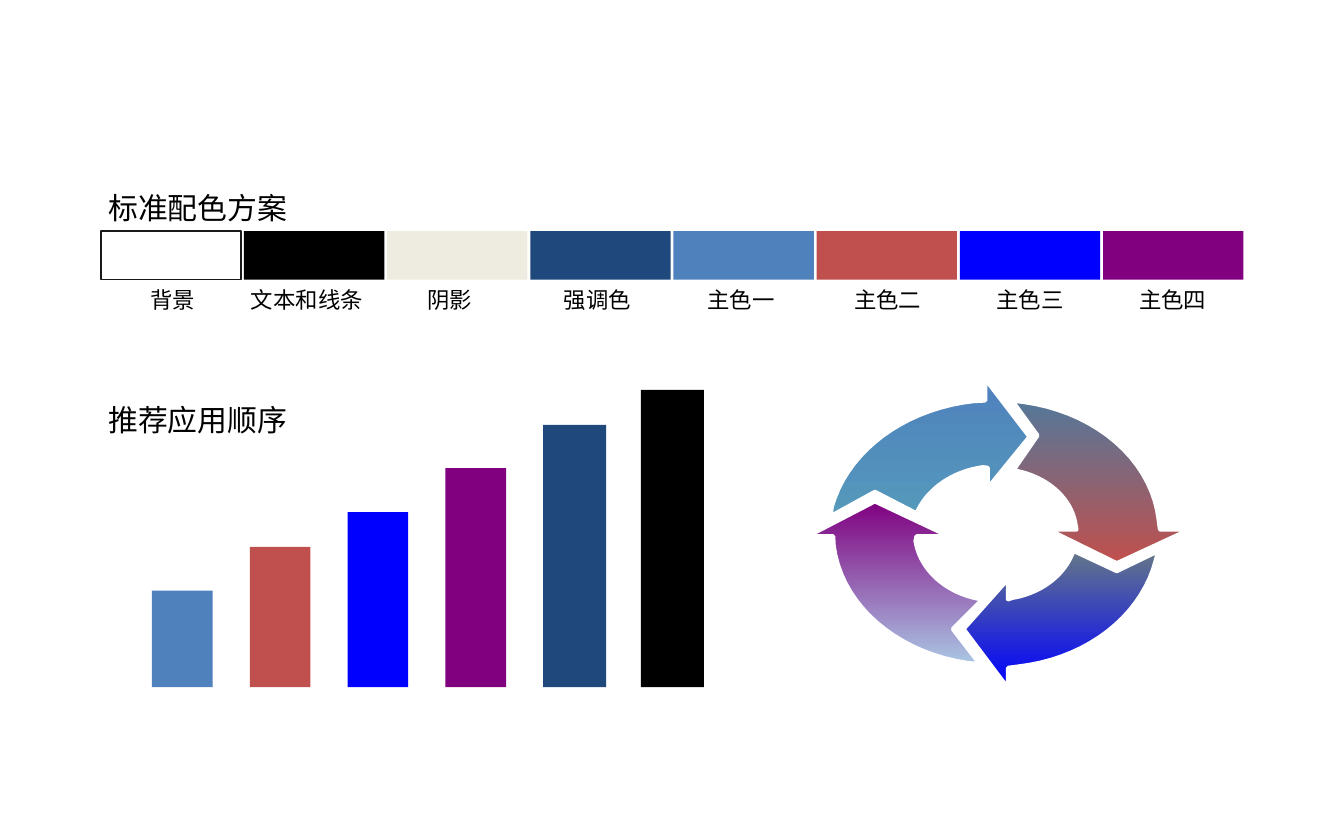
from dataclasses import dataclass
from math import atan2, cos, pi, remainder, sin

from pptx import Presentation
from pptx.dml.color import RGBColor
from pptx.enum.shapes import MSO_SHAPE as Preset
from pptx.enum.text import MSO_AUTO_SIZE as AutoSize, PP_ALIGN as Align
from pptx.slide import Slide
from pptx.util import Pt

Point = tuple[float, float]

COLOURS = {
    "background": "FFFFFF",
    "text": "000000",
    "shadow": "EEECE1",
    "accent": "1F497D",
    "blue": "4F81BD",
    "red": "C0504D",
    "bright": "0000FF",
    "purple": "800080",
    "outline": "191919",
    "teal": "5599BB",
    "slate": "657788",
    "steel": "557799",
    "pale": "AAC6E3",
}
FONT = "Arial"
SWATCH_LEFT, SWATCH_TOP, SWATCH_PITCH = 54, 123.8, 76.7
SWATCH_WIDTH, SWATCH_HEIGHT = 75.2, 26
LABEL_TOP, LABEL_HEIGHT = 149.8, 21.6
BAR_LEFT, BAR_PITCH, BAR_BASE = 81.4, 52.4, 368.2
ARC_STEPS = 20


@dataclass(frozen=True)
class Swatch:
    name: str
    colour: str
    label_left: float
    label_width: float
    align: Align = Align.CENTER


@dataclass(frozen=True)
class Bar:
    colour: str
    height: float
    width: float = 32.5


@dataclass(frozen=True)
class Arc:
    start: Point
    end: Point
    radii: Point

    def points(self, centre: Point) -> list[Point]:
        (cx, cy), (rx, ry) = centre, self.radii
        first, last = (atan2((y - cy) / ry, (x - cx) / rx) for x, y in (self.start, self.end))
        step = remainder(last - first, 2 * pi) / ARC_STEPS
        angles = [first + step * i for i in range(1, ARC_STEPS)]
        between = [(cx + rx * cos(a), cy + ry * sin(a)) for a in angles]
        return [self.start, *between, self.end]


@dataclass(frozen=True)
class CycleArrow:
    centre: Point
    inner: Arc
    head: tuple[Point, Point, Point]
    outer: Arc
    notch: Point
    top_colour: str
    bottom_colour: str


SWATCHES = [
    Swatch("背景", "background", 73.4, 38.2, Align.LEFT),
    Swatch("文本和线条", "text", 127.4, 81.4, Align.LEFT),
    Swatch("阴影", "shadow", 200.2, 81.4),
    Swatch("强调色", "accent", 279.4, 81.4),
    Swatch("主色一", "blue", 356.4, 81.4),
    Swatch("主色二", "red", 438.5, 74.2),
    Swatch("主色三", "bright", 514.1, 75.6),
    Swatch("主色四", "purple", 590.4, 75.6),
]
BARS = [
    Bar("blue", 51.8),
    Bar("red", 75.2),
    Bar("bright", 93.8),
    Bar("purple", 117.4),
    Bar("accent", 140.6, 33.8),
    Bar("text", 159.4, 33.8),
]
ARROWS = [
    CycleArrow(
        (534, 288),
        Arc((491, 275), (529.2, 250.6), (45.7, 38.2)),
        ((529.2, 261.4), (551.5, 234), (527.8, 203)),
        Arc((527.8, 214.6), (445, 276.5), (90.7, 73.8)),
        (468.7, 263.5), "blue", "teal",
    ),
    CycleArrow(
        (534, 285),
        Arc((575.3, 295.2), (540, 321.1), (42.8, 36)),
        ((540, 310.3), (516.2, 337), (540, 368.6)),
        Arc((540, 357.8), (620.6, 295.2), (87.1, 72.7)),
        (598.3, 306), "slate", "bright",
    ),
    CycleArrow(
        (534, 285),
        Arc((526.3, 321.1), (491, 287.3), (43.9, 36.7)),
        ((508.3, 287.3), (468.7, 268.6), (432.7, 287.3)),
        Arc((446.4, 287.3), (524.9, 355.7), (87.8, 71.3)),
        (510.5, 337), "purple", "pale",
    ),
    CycleArrow(
        (534, 285),
        Arc((542.9, 252), (576.7, 283.7), (42.5, 33.8)),
        ((561.6, 283.7), (598.3, 301.7), (637.2, 283.7)),
        Arc((621.4, 283.7), (542.2, 214.6), (87.1, 70.6)),
        (555.8, 233.3), "steel", "red",
    ),
]


def rgb(name: str) -> RGBColor:
    return RGBColor.from_string(COLOURS[name])


def draw_rectangle(slide: Slide, left: float, top: float, width: float, height: float, colour: str) -> None:
    shape = slide.shapes.add_shape(Preset.RECTANGLE, Pt(left), Pt(top), Pt(width), Pt(height))
    shape.shadow.inherit = False
    shape.fill.solid()
    shape.fill.fore_color.rgb = rgb(colour)
    if colour == "background":
        shape.line.color.rgb = rgb("outline")
        shape.line.width = Pt(1)
    else:
        shape.line.fill.background()


def draw_text(slide: Slide, text: str, left: float, top: float, width: float, height: float,
              size: float, align: Align = Align.LEFT) -> None:
    text_frame = slide.shapes.add_textbox(Pt(left), Pt(top), Pt(width), Pt(height)).text_frame
    text_frame.word_wrap = True
    text_frame.auto_size = AutoSize.SHAPE_TO_FIT_TEXT
    text_frame.text = text
    paragraph = text_frame.paragraphs[0]
    paragraph.alignment = align
    font = paragraph.runs[0].font
    font.name, font.size = FONT, Pt(size)
    font.color.rgb = rgb("text")


def draw_arrow(slide: Slide, arrow: CycleArrow) -> None:
    outline = [*arrow.inner.points(arrow.centre), *arrow.head,
               *arrow.outer.points(arrow.centre), arrow.notch]
    first, *others = [(Pt(x), Pt(y)) for x, y in outline]
    builder = slide.shapes.build_freeform(*first)
    builder.add_line_segments(others, close=True)
    shape = builder.convert_to_shape()
    shape.shadow.inherit = False
    shape.fill.gradient()
    shape.fill.gradient_angle = 270
    for stop, colour in zip(shape.fill.gradient_stops, (arrow.top_colour, arrow.bottom_colour)):
        stop.color.rgb = rgb(colour)
    shape.line.color.rgb = rgb("background")
    shape.line.width = Pt(2.25)


def main() -> None:
    presentation = Presentation()
    presentation.slide_width, presentation.slide_height = Pt(720), Pt(450)
    slide = presentation.slides.add_slide(presentation.slide_layouts[6])
    for i, swatch in enumerate(SWATCHES):
        draw_rectangle(slide, SWATCH_LEFT + i * SWATCH_PITCH, SWATCH_TOP,
                       SWATCH_WIDTH, SWATCH_HEIGHT, swatch.colour)
        draw_text(slide, swatch.name, swatch.label_left, LABEL_TOP,
                  swatch.label_width, LABEL_HEIGHT, 12, swatch.align)
    for i, bar in enumerate(BARS):
        draw_rectangle(slide, BAR_LEFT + i * BAR_PITCH, BAR_BASE - bar.height,
                       bar.width, bar.height, bar.colour)
    draw_text(slide, "标准配色方案", 51, 98, 182, 26.6, 16)
    draw_text(slide, "推荐应用顺序", 51, 211.7, 178.6, 26.6, 16)
    for arrow in ARROWS:
        draw_arrow(slide, arrow)
    presentation.save("out.pptx")


if __name__ == "__main__":
    main()
